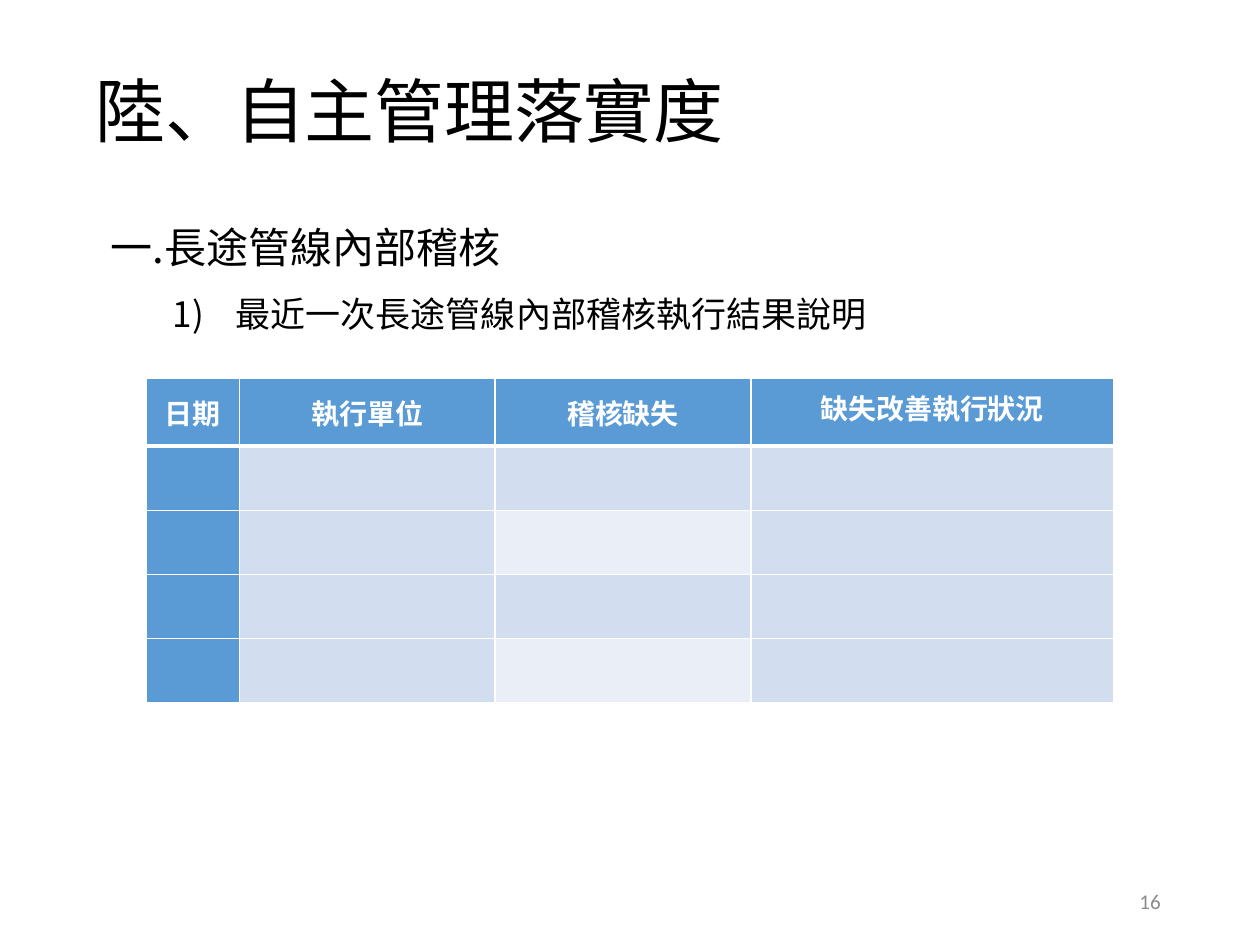
from lxml import etree
from pptx import Presentation
from pptx.dml.color import RGBColor
from pptx.enum.text import MSO_ANCHOR as Anchor, MSO_AUTO_SIZE as AutoSize, PP_ALIGN as Align
from pptx.oxml.ns import qn
from pptx.util import Inches, Pt

# Content
TITLE = "陸、自主管理落實度"
HEADING = "一.長途管線內部稽核"
ITEM = "最近一次長途管線內部稽核執行結果說明"
HEADERS = ["日期", "執行單位", "稽核缺失", "缺失改善執行狀況"]
PAGE_NUMBER = "16"

# Style
CJK_FONT = "Noto Sans CJK SC"
BLACK = RGBColor(0x00, 0x00, 0x00)
WHITE = RGBColor(0xFF, 0xFF, 0xFF)
GRAY = RGBColor(0x8C, 0x8C, 0x8C)
BLUE = RGBColor(0x5B, 0x9B, 0xD5)
BAND_DARK = RGBColor(0xD2, 0xDE, 0xEF)
BAND_LIGHT = RGBColor(0xEA, 0xEF, 0xF7)

# Table grid
COLUMN_WIDTHS = [0.74, 2.03, 2.03, 2.88]
ROW_HEIGHTS = [0.54] + [0.51] * 4
BANDED_COLUMN = 2


def place(shape, left, top, width, height):
    shape.left, shape.top = Inches(left), Inches(top)
    shape.width, shape.height = Inches(width), Inches(height)


def format_span(para, size, color, font=CJK_FONT, bold=False):
    span = para.runs[0]
    span.font.size, span.font.bold = Pt(size), bold
    span.font.name = font
    span.font.color.rgb = color
    properties = span.font._element
    latin = properties.find(qn("a:latin"))
    east_asian = etree.Element(qn("a:ea"), typeface=font)
    latin.addnext(east_asian)
    return properties


def set_indent(para, margin, indent):
    properties = para._p.get_or_add_pPr()
    properties.set("marL", str(Inches(margin)))
    properties.set("indent", str(Inches(indent)))
    return properties


def set_borders(cell, bottom_width):
    properties = cell._tc.get_or_add_tcPr()
    widths = {"lnL": 1, "lnR": 1, "lnT": 1, "lnB": bottom_width}
    for position, (side, width) in enumerate(widths.items()):
        line = etree.Element(qn(f"a:{side}"), w=str(Pt(width)))
        fill = etree.SubElement(line, qn("a:solidFill"))
        etree.SubElement(fill, qn("a:srgbClr"), val=str(WHITE))
        properties.insert(position, line)


def cell_color(row, column):
    if row == 0 or column == 0:
        return BLUE
    if column == BANDED_COLUMN and row % 2 == 0:
        return BAND_LIGHT
    return BAND_DARK


deck = Presentation()
deck.slide_width, deck.slide_height = Inches(10), Inches(7.5)
page = deck.slides.add_slide(deck.slide_layouts[1])

# Title
title = page.shapes.title
place(title, 0.75, 0.61, 7.63, 0.61)
frame = title.text_frame
frame.text = TITLE
frame.margin_left = frame.margin_right = frame.margin_top = frame.margin_bottom = 0
frame.vertical_anchor = Anchor.MIDDLE
frame.auto_size = AutoSize.SHAPE_TO_FIT_TEXT
para = frame.paragraphs[0]
para.alignment, para.line_spacing = Align.LEFT, 0.9
set_indent(para, 0.01, 0)
format_span(para, 40, BLACK).set("spc", "-10")

# Heading and numbered item
body = page.placeholders[1]
place(body, 0.78, 1.53, 8.25, 1.15)
frame = body.text_frame
frame.text = HEADING
frame.add_paragraph().text = ITEM
frame.vertical_anchor = Anchor.MIDDLE
frame.auto_size = AutoSize.SHAPE_TO_FIT_TEXT
for para, size, margin, indent in zip(frame.paragraphs, (24, 20), (0, 0.99), (0, -0.5)):
    para.line_spacing, para.space_before = 1.5, Pt(0)
    format_span(para, size, BLACK)
    properties = set_indent(para, margin, indent)
    if indent:
        etree.SubElement(properties, qn("a:buFont"), typeface=CJK_FONT)
        etree.SubElement(properties, qn("a:buAutoNum"), type="arabicParenR")
    else:
        etree.SubElement(properties, qn("a:buNone"))

# Audit table
table = page.shapes.add_table(
    len(ROW_HEIGHTS), len(COLUMN_WIDTHS), Inches(1.16), Inches(3),
    Inches(sum(COLUMN_WIDTHS)), Inches(sum(ROW_HEIGHTS))).table
for column, width in zip(table.columns, COLUMN_WIDTHS):
    column.width = Inches(width)
for row_index, height in enumerate(ROW_HEIGHTS):
    table.rows[row_index].height = Inches(height)
    for column_index in range(len(COLUMN_WIDTHS)):
        cell = table.cell(row_index, column_index)
        cell.fill.solid()
        cell.fill.fore_color.rgb = cell_color(row_index, column_index)
        set_borders(cell, 3 if row_index == 0 else 1)

for column_index, header in enumerate(HEADERS):
    cell = table.cell(0, column_index)
    cell.text = header
    cell.vertical_anchor = Anchor.MIDDLE
    cell.margin_left = cell.margin_right = Inches(0.07)
    cell.margin_top = cell.margin_bottom = 0
    para = cell.text_frame.paragraphs[0]
    para.alignment = Align.CENTER
    format_span(para, 16, WHITE, bold=True)
para.line_spacing = Pt(18)  # the last header is set tighter

# Page number
number = page.shapes.add_textbox(Inches(7.06), Inches(6.95), Inches(2.25), Inches(0.4))
frame = number.text_frame
frame.text = PAGE_NUMBER
frame.word_wrap = True
frame.vertical_anchor = Anchor.MIDDLE
para = frame.paragraphs[0]
para.alignment = Align.RIGHT
format_span(para, 12, GRAY, font="Calibri")

deck.save("out.pptx")
